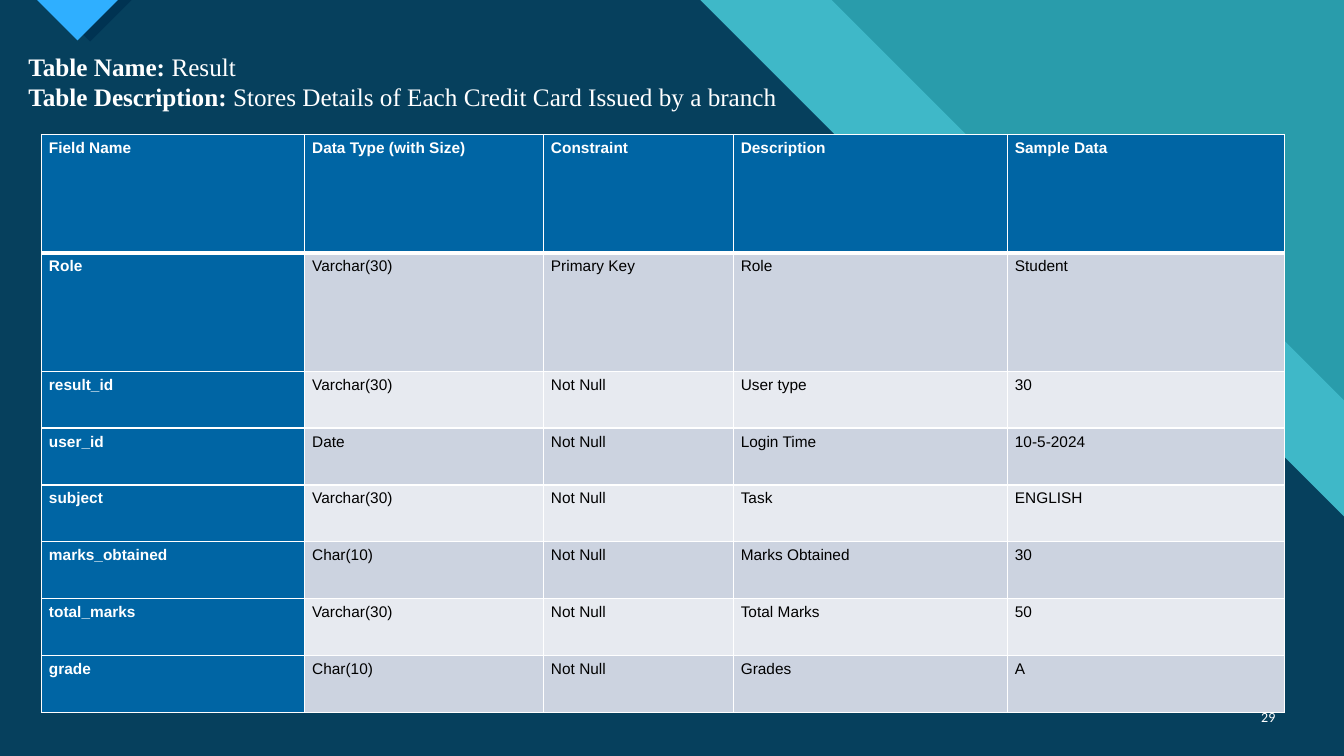
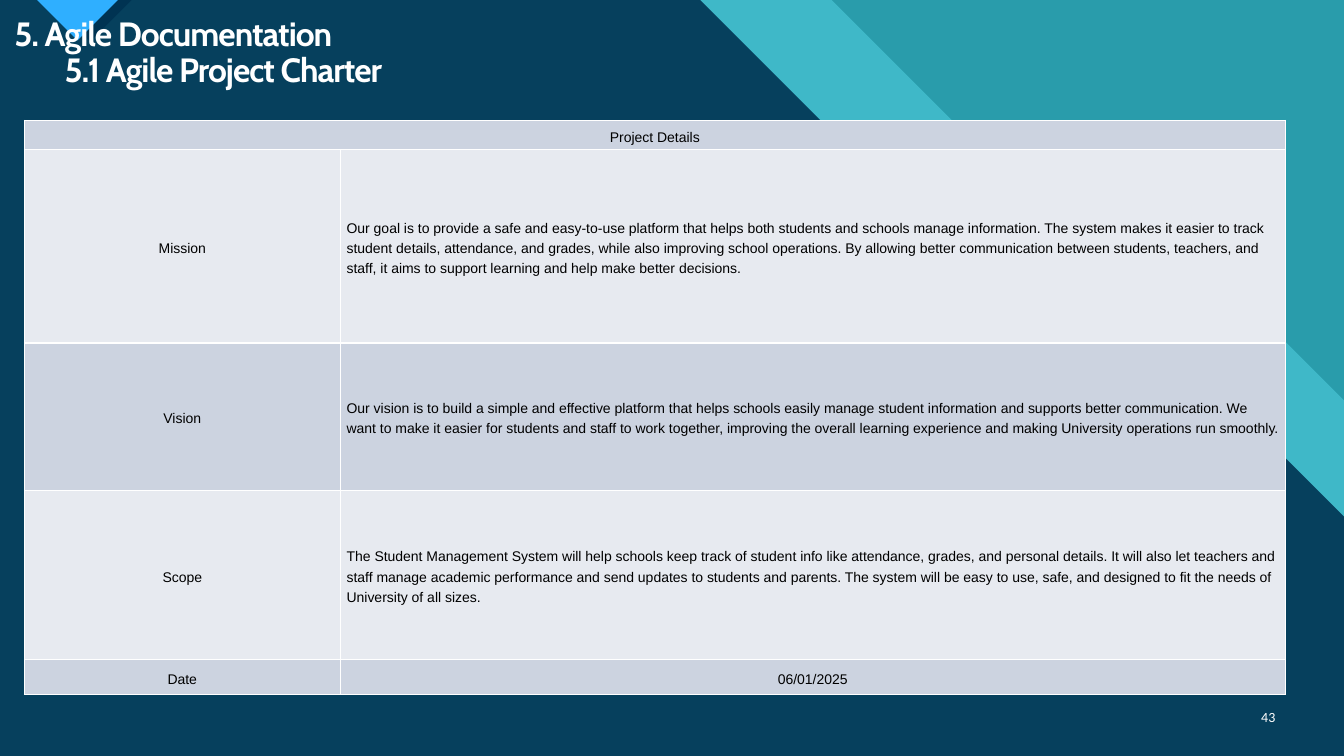
from dataclasses import dataclass

import pptx
import pptx.dml.color
import pptx.enum.text
import pptx.oxml
import pptx.oxml.ns
import pptx.presentation
import pptx.slide
import pptx.table
import pptx.text.text
import pptx.util

Pt = pptx.util.Pt
Anchor = pptx.enum.text.MSO_ANCHOR
Align = pptx.enum.text.PP_ALIGN

WIDTH, HEIGHT = 960, 540
TITLE_ONLY = 5
LONG_TEXT = 40  # longer cell text is set flush left

COLORS = {
    "teal": "299CAB",
    "aqua": "47C3D3",
    "navy": "003352",
    "sky": "2FAFFF",
    "accent": "0065A4",
    "band_dark": "CCD3E0",
    "band_light": "E7EAF0",
    "white": "FFFFFF",
    "black": "000000",
}


@dataclass(frozen=True)
class Outline:
    points: tuple[tuple[float, float], ...]
    color: str
    opacity: int = 100


@dataclass(frozen=True)
class TitleRun:
    text: str
    bold: bool = True


@dataclass(frozen=True)
class Title:
    box: tuple[float, float, float, float]
    lines: tuple[tuple[TitleRun, ...], ...]
    font: str
    size: float
    line_spacing: float = 1.0
    tracking: float = 0


@dataclass(frozen=True)
class Grid:
    left: float
    top: float
    columns: tuple[float, ...]
    heights: tuple[float, ...]
    rows: tuple[tuple[str, ...], ...]
    size: float
    inset: float
    has_headers: bool = False
    centered: bool = False


@dataclass(frozen=True)
class Page:
    title: Title
    grid: Grid
    number: str


# Diagonal bands and the corner arrow with its shadow
BACKDROP = (
    Outline(((0, 0), (594, 0), (808, 214), (888, 214), (WIDTH, 286),
             (WIDTH, HEIGHT), (0, HEIGHT)), "aqua", 74),
    Outline(((0, 0), (500, 0), (714, 214), (805, 214), (WIDTH, 369),
             (WIDTH, HEIGHT), (0, HEIGHT)), "navy", 90),
    Outline(((34.6, 0), (94, 0), (64.4, 29.6)), "navy"),
    Outline(((26.6, 0), (84.2, 0), (55.4, 28.8)), "sky"),
)

PAGES = (
    Page(
        Title(
            (13, 32.8, 554, 52),
            (
                (TitleRun("Table Name:"), TitleRun(" Result", False)),
                (TitleRun("Table Description:"),
                 TitleRun(" Stores Details of Each Credit Card Issued by a branch", False)),
            ),
            "Times New Roman", 18,
        ),
        Grid(
            29.6, 96, (188, 170.6, 135.6, 195.8, 198), (84.6,) * 2 + (40.6,) * 6,
            (
                ("Field Name", "Data Type (with Size)", "Constraint", "Description", "Sample Data"),
                ("Role", "Varchar(30)", "Primary Key", "Role", "Student"),
                ("result_id", "Varchar(30)", "Not Null", "User type", "30"),
                ("user_id", "Date", "Not Null", "Login Time", "10-5-2024"),
                ("subject", "Varchar(30)", "Not Null", "Task", "ENGLISH"),
                ("marks_obtained", "Char(10)", "Not Null", "Marks Obtained", "30"),
                ("total_marks", "Varchar(30)", "Not Null", "Total Marks", "50"),
                ("grade", "Char(10)", "Not Null", "Grades", "A"),
            ),
            size=11, inset=5.4, has_headers=True,
        ),
        "29",
    ),
    Page(
        Title(
            (3, 8.6, 883, 60),
            ((TitleRun("5. Agile Documentation"),), (TitleRun("\t5.1 Agile Project Charter"),)),
            "Cabin", 24, line_spacing=0.9, tracking=-0.7,
        ),
        Grid(
            17.4, 86, (225.6, 675), (20.8, 138.2, 105.2, 121, 25.2),
            (
                ("Project Details",),
                ("Mission",
                 "Our goal is to provide a safe and easy-to-use platform that helps both students and "
                 "schools manage information. The system makes it easier to track student details, "
                 "attendance, and grades, while also improving school operations. By allowing better "
                 "communication between students, teachers, and staff, it aims to support learning "
                 "and help make better decisions."),
                ("Vision",
                 "Our vision is to build a simple and effective platform that helps schools easily "
                 "manage student information and supports better communication. We want to make it "
                 "easier for students and staff to work together, improving the overall learning "
                 "experience and making University operations run smoothly."),
                ("Scope",
                 "The Student Management System will help schools keep track of student info like "
                 "attendance, grades, and personal details. It will also let teachers and staff "
                 "manage academic performance and send updates to students and parents. The system "
                 "will be easy to use, safe, and designed to fit the needs of University of all sizes."),
                ("Date", "06/01/2025"),
            ),
            size=10, inset=4.6, centered=True,
        ),
        "43",
    ),
)


def rgb(name: str) -> pptx.dml.color.RGBColor:
    return pptx.dml.color.RGBColor.from_string(COLORS[name])


def format_run(run: pptx.text.text._Run, font: str, size: float, color: str,
               bold: bool = False) -> None:
    run.font.name = font
    run.font.size = Pt(size)
    run.font.bold = bold
    run.font.color.rgb = rgb(color)


def draw_backdrop(slide: pptx.slide.Slide) -> None:
    slide.background.fill.solid()
    slide.background.fill.fore_color.rgb = rgb("teal")
    for outline in BACKDROP:
        points = [(Pt(x), Pt(y)) for x, y in outline.points]
        builder = slide.shapes.build_freeform(*points[0], scale=1.0)
        builder.add_line_segments(points[1:], close=True)
        shape = builder.convert_to_shape()
        shape.shadow.inherit = False
        shape.line.fill.background()
        shape.fill.solid()
        shape.fill.fore_color.rgb = rgb(outline.color)
        if outline.opacity < 100:
            color = shape.element.spPr.find(".//" + pptx.oxml.ns.qn("a:srgbClr"))
            alpha = pptx.oxml.parse_xml(
                f'<a:alpha {pptx.oxml.ns.nsdecls("a")} val="{outline.opacity * 1000}"/>')
            color.append(alpha)


def draw_title(slide: pptx.slide.Slide, title: Title) -> None:
    shape = slide.shapes.title
    shape.left, shape.top, shape.width, shape.height = map(Pt, title.box)
    # Bring the placeholder in front of the backdrop
    shape.element.getparent().append(shape.element)
    text_frame = shape.text_frame
    text_frame.word_wrap = True
    text_frame.auto_size = pptx.enum.text.MSO_AUTO_SIZE.NONE
    text_frame.vertical_anchor = Anchor.TOP
    for index, line in enumerate(title.lines):
        paragraph = text_frame.add_paragraph() if index else text_frame.paragraphs[0]
        paragraph.alignment = Align.LEFT
        paragraph.line_spacing = title.line_spacing
        for part in line:
            run = paragraph.add_run()
            run.text = part.text
            format_run(run, title.font, title.size, "white", part.bold)
            if title.tracking:
                run.font._element.set("spc", str(round(title.tracking * 100)))


def draw_page_number(slide: pptx.slide.Slide, number: str) -> None:
    text_frame = slide.shapes.add_textbox(Pt(886), Pt(497.6), Pt(32), Pt(28.8)).text_frame
    text_frame.word_wrap = True
    text_frame.vertical_anchor = Anchor.MIDDLE
    text_frame.text = number
    paragraph = text_frame.paragraphs[0]
    paragraph.alignment = Align.RIGHT
    format_run(paragraph.runs[0], "Calibri", 10, "white")


def set_borders(cell: pptx.table._Cell, top: float, bottom: float) -> None:
    properties = cell._tc.get_or_add_tcPr()
    sides = (("lnL", 1), ("lnR", 1), ("lnT", top), ("lnB", bottom))
    for position, (side, width) in enumerate(sides):
        properties.insert(position, pptx.oxml.parse_xml(
            f'<a:{side} {pptx.oxml.ns.nsdecls("a")} w="{Pt(width)}"><a:solidFill>'
            f'<a:srgbClr val="{COLORS["white"]}"/></a:solidFill></a:{side}>'))


def fill_cell(cell: pptx.table._Cell, grid: Grid, row: int, column: int) -> None:
    is_header = grid.has_headers and (row == 0 or column == 0)
    is_dark = (row - grid.has_headers) % 2 == 0
    cell.fill.solid()
    cell.fill.fore_color.rgb = rgb(
        "accent" if is_header else "band_dark" if is_dark else "band_light")
    # A heavy rule parts the header row from the body
    set_borders(cell, top=3 if grid.has_headers and row == 1 else 1,
                bottom=3 if grid.has_headers and row == 0 else 1)
    cell.margin_left = cell.margin_right = Pt(grid.inset)
    cell.margin_top = cell.margin_bottom = 0
    cell.vertical_anchor = Anchor.MIDDLE if grid.centered else Anchor.TOP
    if column >= len(grid.rows[row]):
        return
    text = grid.rows[row][column]
    cell.text_frame.text = text
    paragraph = cell.text_frame.paragraphs[0]
    paragraph.line_spacing = 1.3
    paragraph.space_after = Pt(8)
    paragraph.alignment = (
        Align.CENTER if grid.centered and len(text) <= LONG_TEXT else Align.LEFT)
    format_run(paragraph.runs[0], "Arial", grid.size,
               "white" if is_header else "black", is_header)


def draw_table(slide: pptx.slide.Slide, grid: Grid) -> None:
    table = slide.shapes.add_table(
        len(grid.rows), len(grid.columns), Pt(grid.left), Pt(grid.top),
        Pt(sum(grid.columns)), Pt(sum(grid.heights))).table
    table.first_row = grid.has_headers
    table.first_col = grid.has_headers
    table.horz_banding = False
    for column, width in zip(table.columns, grid.columns):
        column.width = Pt(width)
    for row, height in zip(table.rows, grid.heights):
        row.height = Pt(height)
    last_column = len(grid.columns) - 1
    for row, texts in enumerate(grid.rows):
        for column in range(len(grid.columns)):
            fill_cell(table.cell(row, column), grid, row, column)
        # A short row lets its last cell span the rest
        if len(texts) <= last_column:
            table.cell(row, len(texts) - 1).merge(table.cell(row, last_column))


def add_page(presentation: pptx.presentation.Presentation, page: Page) -> None:
    slide = presentation.slides.add_slide(presentation.slide_layouts[TITLE_ONLY])
    draw_backdrop(slide)
    draw_title(slide, page.title)
    draw_page_number(slide, page.number)
    draw_table(slide, page.grid)


def main() -> None:
    presentation = pptx.Presentation()
    presentation.slide_width, presentation.slide_height = Pt(WIDTH), Pt(HEIGHT)
    for page in PAGES:
        add_page(presentation, page)
    presentation.save("out.pptx")


if __name__ == "__main__":
    main()
